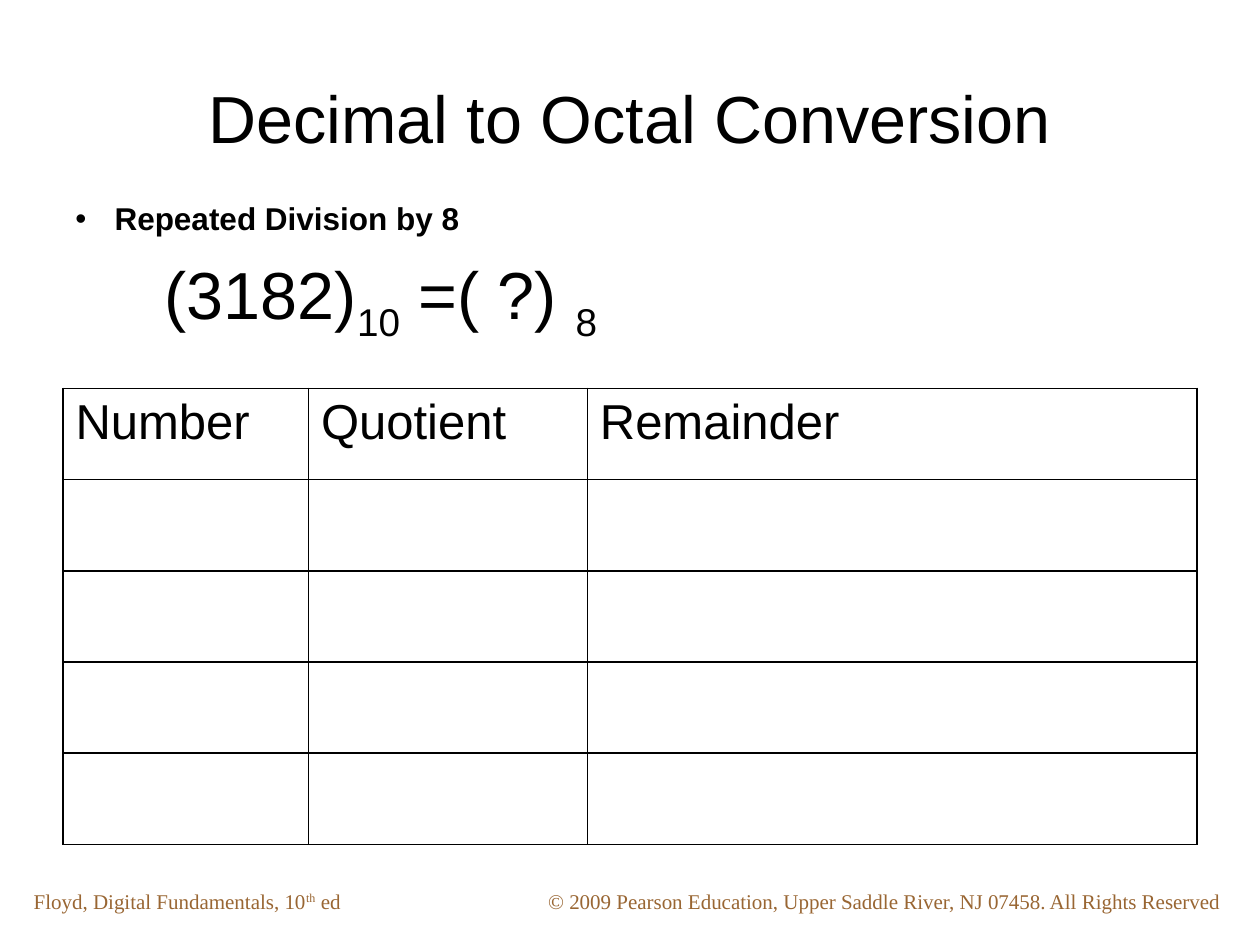
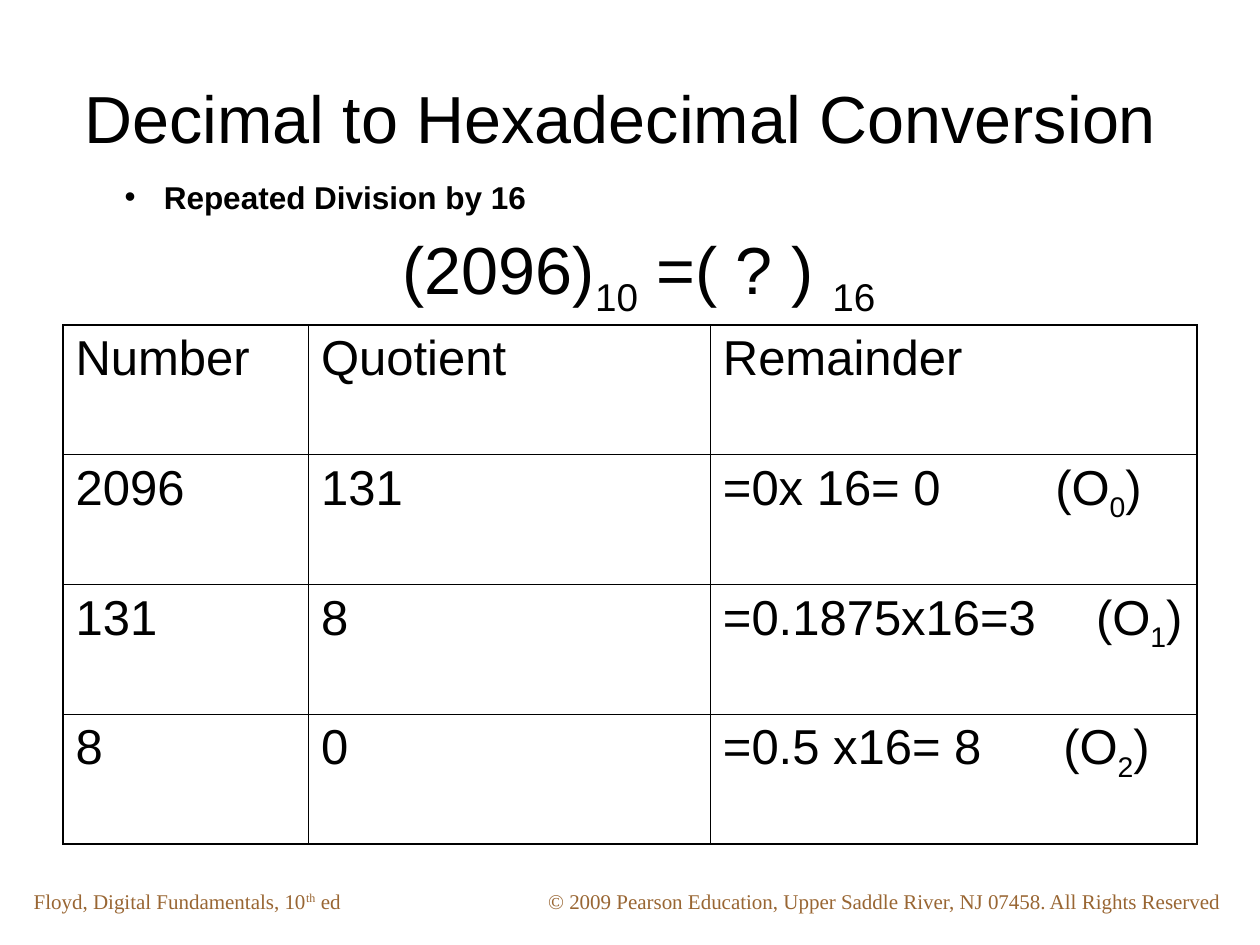
from dataclasses import dataclass

from lxml.etree import SubElement
from pptx import Presentation
from pptx.dml.color import RGBColor
from pptx.enum.text import MSO_ANCHOR as Anchor, PP_ALIGN as Align
from pptx.oxml.ns import qn
from pptx.util import Cm, Pt


@dataclass(frozen=True)
class TextStyle:
    size: float
    color: str = "000000"
    font: str = "Arial"
    bold: bool = False


@dataclass(frozen=True)
class Theme:
    title = TextStyle(38)
    formula = TextStyle(38)
    method = TextStyle(18, bold=True)
    cell = TextStyle(28)
    footer = TextStyle(12, "996633", "Times New Roman")
    grid_color = "000000"
    grid_width = Pt(1)
    bullet_indent = Cm(0.79)
    subscript = -25000
    superscript = 30000


@dataclass(frozen=True)
class Box:
    """A region of the slide, in centimetres."""
    left: float
    top: float
    width: float
    height: float

    def lengths(self):
        return [Cm(v) for v in (self.left, self.top, self.width, self.height)]


THEME = Theme()
TITLE_BOX = Box(1.27, 0.76, 22.86, 3.18)
FOOTER_BOX = Box(0.43, 17.78, 24.54, 0.76)
HEADINGS = ["Number", "Quotient ", "Remainder"]


def sub(text):
    return text, THEME.subscript


def write(para, parts, style, align=Align.LEFT):
    """Add runs to a paragraph; a part is plain text or (text, baseline)."""
    para.alignment = align
    for part in parts:
        text, baseline = (part, 0) if isinstance(part, str) else part
        span = para.add_run()
        span.text = text
        font = span.font
        font.name, font.size, font.bold = style.font, Pt(style.size), style.bold
        font.color.rgb = RGBColor.from_string(style.color)
        if baseline:
            span._r.get_or_add_rPr().set("baseline", str(baseline))


def add_text(page, box, parts, style, align=Align.LEFT, anchor=Anchor.TOP):
    frame = page.shapes.add_textbox(*box.lengths()).text_frame
    frame.word_wrap = True
    frame.vertical_anchor = anchor
    para = frame.paragraphs[0]
    write(para, parts, style, align)
    return para


def add_method(page, box, text, align=Align.LEFT):
    """Add the bulleted line that names the conversion method."""
    para = add_text(page, box, [text], THEME.method, align, Anchor.MIDDLE)
    props = para._p.get_or_add_pPr()
    props.set("marL", str(THEME.bullet_indent))
    props.set("indent", str(-THEME.bullet_indent))
    SubElement(props, qn("a:buFont"), typeface="Arial")
    SubElement(props, qn("a:buChar"), char="•")


def add_footer(page, box):
    edition = Box(box.left, box.top, 7.82, box.height)
    notice_width = 14.17
    notice = Box(box.left + box.width - notice_width, box.top, notice_width, box.height)
    add_text(page, edition,
             ["Floyd, Digital Fundamentals, 10", ("th", THEME.superscript), " ed"],
             THEME.footer)
    add_text(page, notice,
             ["© 2009 Pearson Education, Upper Saddle River, NJ 07458. All Rights Reserved"],
             THEME.footer)


def outline(cell):
    props = cell._tc.get_or_add_tcPr()
    for side in ("lnL", "lnR", "lnT", "lnB"):
        line = SubElement(props, qn(f"a:{side}"), w=str(THEME.grid_width))
        fill = SubElement(line, qn("a:solidFill"))
        SubElement(fill, qn("a:srgbClr"), val=THEME.grid_color)


def add_tab(para, position):
    tabs = SubElement(para._p.get_or_add_pPr(), qn("a:tabLst"))
    SubElement(tabs, qn("a:tab"), pos=str(Cm(position)), algn="l")


def add_division_table(page, box, first_widths, rows, digit_tabs=()):
    """Add the division steps; digit_tabs place the digit label of each step."""
    table = page.shapes.add_table(len(rows) + 1, len(HEADINGS), *box.lengths()).table
    table.first_row = table.horz_banding = False
    widths = [*first_widths, box.width - sum(first_widths)]
    for column, width in zip(table.columns, widths):
        column.width = Cm(width)
    for row, texts in zip(table.rows, [[[name] for name in HEADINGS], *rows]):
        for cell, parts in zip(row.cells, texts):
            outline(cell)
            cell.fill.background()
            write(cell.text_frame.paragraphs[0], parts, THEME.cell, Align.JUSTIFY)
    for row_index, position in enumerate(digit_tabs, start=1):
        add_tab(table.cell(row_index, 2).text_frame.paragraphs[0], position)


def start_page(deck, title):
    page = deck.slides.add_slide(deck.slide_layouts[6])
    add_footer(page, FOOTER_BOX)
    add_text(page, TITLE_BOX, [title], THEME.title, Align.CENTER, Anchor.MIDDLE)
    return page


def add_octal_page(deck):
    page = start_page(deck, "Decimal to Octal Conversion")
    blank_rows = [[[], [], []] for _ in range(4)]
    add_division_table(page, Box(1.27, 7.83, 22.86, 9.19), [4.95, 5.62], blank_rows)
    add_method(page, Box(1.27, 3.89, 17.15, 1.02), "Repeated Division by 8")
    add_text(page, Box(3.07, 4.98, 13.54, 1.88),
             ["(3182)", sub("10"), " =( ?) ", sub("8")], THEME.formula)


def add_hexadecimal_page(deck):
    page = start_page(deck, "Decimal to Hexadecimal Conversion ")
    steps = [("2096", "131", "=0x 16= 0"),
             ("131", "8", "=0.1875x16=3"),
             ("8", "0", "=0.5 x16= 8")]
    rows = [[[number], [quotient], [f"{product}\t(O", sub(str(index)), ")"]]
            for index, (number, quotient, product) in enumerate(steps)]
    add_division_table(page, Box(1.27, 6.55, 22.86, 10.47), [4.95, 8.1], rows,
                       digit_tabs=[6.7, 7.52, 6.86])
    add_method(page, Box(1.9, 3.43, 9.32, 1.07), "Repeated Division by 16", Align.CENTER)
    add_text(page, Box(7.87, 4.47, 12.07, 1.88),
             ["(2096)", sub("10"), " =( ? ) ", sub("16")], THEME.formula)


def main():
    deck = Presentation()
    deck.slide_width, deck.slide_height = Cm(25.4), Cm(19.05)
    add_octal_page(deck)
    add_hexadecimal_page(deck)
    deck.save("out.pptx")


if __name__ == "__main__":
    main()
